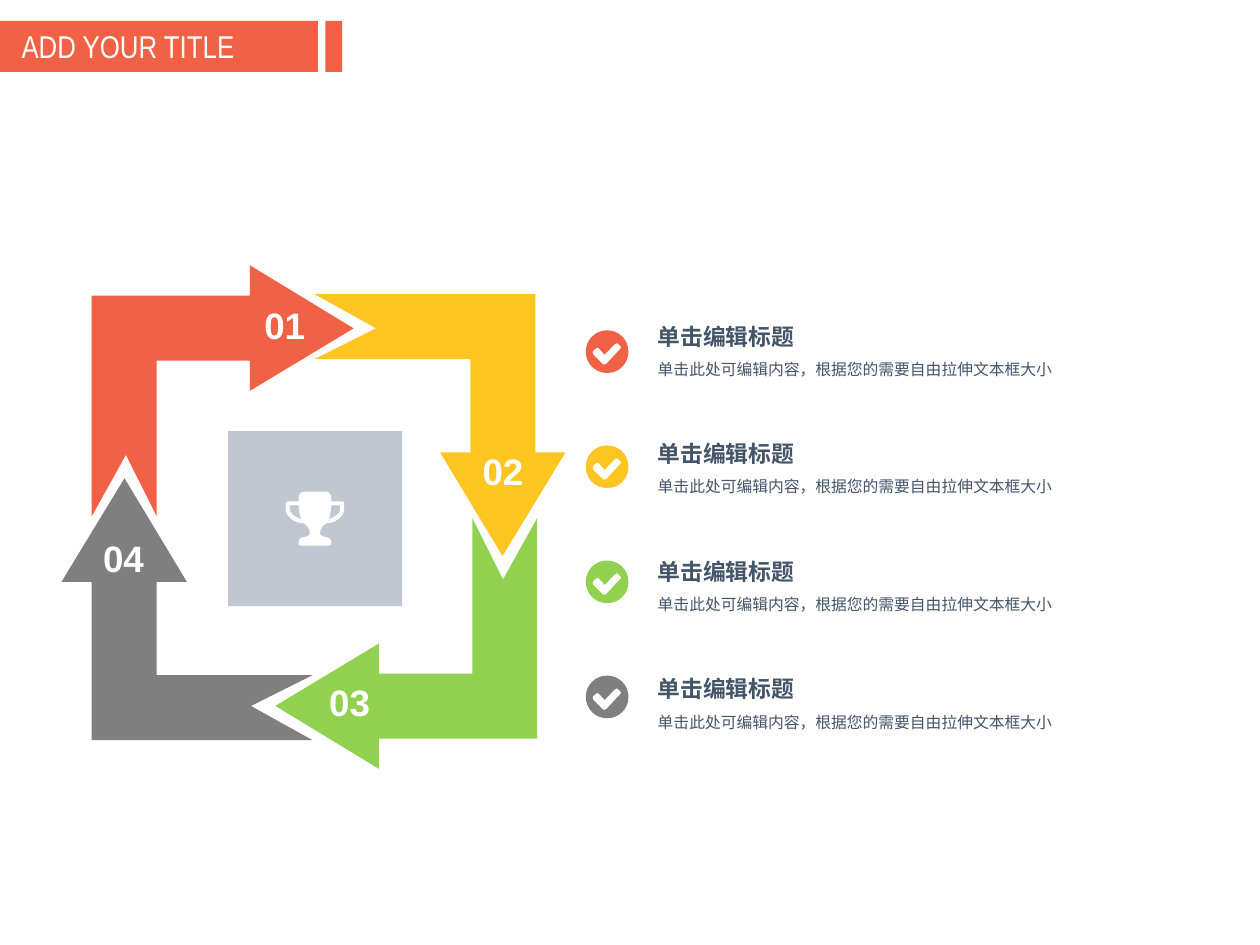
from pptx import Presentation
from pptx.dml.color import RGBColor
from pptx.enum.shapes import MSO_SHAPE
from pptx.enum.text import MSO_ANCHOR, MSO_AUTO_SIZE, PP_ALIGN
from pptx.oxml.ns import qn
from pptx.util import Cm, Pt
from lxml.etree import Element

RED = RGBColor(0xF1, 0x61, 0x46)
YELLOW = RGBColor(0xFF, 0xC5, 0x22)
GREEN = RGBColor(0x92, 0xD0, 0x50)
GREY = RGBColor(0x7F, 0x7F, 0x7F)
PANEL = RGBColor(0xC1, 0xC7, 0xD0)
INK = RGBColor(0x44, 0x54, 0x69)
WHITE = RGBColor(0xFF, 0xFF, 0xFF)

HEADING = "单击编辑标题"
DETAIL = "单击此处可编辑内容，根据您的需要自由拉伸文本框大小"

# Number, colour, arrow position, arrow rotation, number position (cm)
STEPS = [
    ("01", RED, (1.85, 5.35), 0, (5.31, 6.1)),
    ("02", YELLOW, (6.23, 6.04), 90, (9.71, 9.04)),
    ("03", GREEN, (5.55, 10.44), 180, (6.62, 13.71)),
    ("04", GREY, (1.13, 9.75), 270, (2.06, 10.8)),
]

# Outlines in cm. A segment of one point is a line, one of three is a curve.
ARROW = [[(0, 5.06)], [(0, 0.61)], [(3.19, 0.61)], [(3.19, 0)], [(5.28, 1.27)],
         [(3.19, 2.53)], [(3.19, 1.92)], [(1.31, 1.92)], [(1.31, 5.06)], [(0.69, 3.82)]]
DISC = [
    [(0.43, 0.86)], [(0.19, 0.86), (0, 0.67), (0, 0.43)],
    [(0, 0.19), (0.19, 0), (0.43, 0)], [(0.67, 0), (0.86, 0.19), (0.86, 0.43)],
    [(0.86, 0.67), (0.67, 0.86), (0.43, 0.86)],
]
TICK = [
    [(0.7, 0.32)], [(0.66, 0.28)], [(0.64, 0.25), (0.62, 0.25), (0.58, 0.28)],
    [(0.38, 0.49)], [(0.26, 0.36)], [(0.24, 0.34), (0.23, 0.34), (0.21, 0.36)],
    [(0.15, 0.41)], [(0.13, 0.43), (0.13, 0.46), (0.15, 0.49)],
    [(0.35, 0.69)], [(0.37, 0.7), (0.39, 0.7), (0.41, 0.68)],
    [(0.7, 0.37)], [(0.72, 0.35), (0.72, 0.34), (0.7, 0.32)],
]
# Right half of the trophy, measured from its top centre
CUP = [
    [(0.2, 0)], [(0.28, 0), (0.33, 0.05), (0.33, 0.13)],
    [(0.33, 0.2)], [(0.53, 0.2)], [(0.59, 0.2), (0.59, 0.2), (0.59, 0.25)],
    [(0.59, 0.36)], [(0.59, 0.48), (0.43, 0.64), (0.23, 0.64)],
    [(0.18, 0.66), (0.15, 0.71), (0.15, 0.71)],
    [(0.13, 0.74), (0.1, 0.79), (0.1, 0.84)],
    [(0.1, 0.86), (0.13, 0.91), (0.18, 0.91)],
    [(0.25, 0.91), (0.33, 0.94), (0.33, 1.02)],
    [(0.33, 1.07)], [(0.33, 1.09), (0.3, 1.09), (0.3, 1.09)],
]
HANDLE = [
    [(0.51, 0.28)], [(0.33, 0.28)], [(0.33, 0.38), (0.3, 0.48), (0.28, 0.56)],
    [(0.41, 0.51), (0.51, 0.43), (0.51, 0.36)],
]


def mirror(segments):
    return [[(-x, y) for x, y in segment] for segment in segments]


def reverse(segments):
    """Run through the same segments from end to start."""
    backwards = [[segments[-1][-1]]]
    for before, segment in reversed(list(zip(segments, segments[1:]))):
        backwards.append([*segment[-2::-1], before[-1]])
    return backwards


def paint(shape, color):
    shape.fill.solid()
    shape.fill.fore_color.rgb = color
    shape.line.fill.background()
    shape.shadow.inherit = False
    return shape


def bend(shape, contours):
    """Turn the straight sides that stand for curves into cubic curves."""
    ends = [segment[-1] for contour in contours for segment in contour]
    min_x, min_y = (min(values) for values in zip(*ends))
    sides = [segment for contour in contours for segment in contour[1:]]
    for side, segment in zip(list(shape.element.iter(qn("a:lnTo"))), sides):
        if len(segment) == 3:
            side.tag = qn("a:cubicBezTo")
            for position, (x, y) in enumerate(segment[:2]):
                control = Element(qn("a:pt"), x=str(Cm(x - min_x)), y=str(Cm(y - min_y)))
                side.insert(position, control)


def add_outline(slide, contours, left, top, color):
    """Draw closed contours as one shape; inner contours are holes."""
    builder = None
    for contour in contours:
        start, *rest = [(Cm(x), Cm(y)) for *_, (x, y) in contour]
        if builder is None:
            builder = slide.shapes.build_freeform(*start)
        else:
            builder.move_to(*start)
        builder.add_line_segments(rest, close=True)
    shape = builder.convert_to_shape(Cm(left), Cm(top))
    bend(shape, contours)
    return paint(shape, color)


def add_block(slide, left, top, width, height, color):
    block = slide.shapes.add_shape(MSO_SHAPE.RECTANGLE, Cm(left), Cm(top), Cm(width), Cm(height))
    return paint(block, color)


def format_text(frame, text, size, color, font="Arial", bold=False, align=PP_ALIGN.LEFT):
    frame.word_wrap = True
    frame.auto_size = MSO_AUTO_SIZE.NONE
    frame.vertical_anchor = MSO_ANCHOR.TOP
    frame.text = text
    paragraph = frame.paragraphs[0]
    paragraph.alignment = align
    run = paragraph.runs[0]
    run.font.name = font
    run.font.size = Pt(size)
    run.font.bold = bold
    run.font.color.rgb = color


def add_label(slide, text, left, top, width, height, size, color, **style):
    frame = slide.shapes.add_textbox(Cm(left), Cm(top), Cm(width), Cm(height)).text_frame
    frame.margin_left = frame.margin_right = frame.margin_top = frame.margin_bottom = 0
    format_text(frame, text, size, color, **style)
    frame.paragraphs[0].space_before = Pt(size / 4)


def add_title(slide):
    title = slide.shapes.title
    title.left, title.top, title.width, title.height = Cm(0.18), Cm(0.42), Cm(6.05), Cm(1.78)
    format_text(title.text_frame, "ADD YOUR TITLE", 18, WHITE, font="Arial Narrow")
    # The bars lie behind the title
    for left, width in ((0, 6.41), (6.56, 0.34)):
        bar = add_block(slide, left, 0.42, width, 1.03, RED)
        title.element.addprevious(bar.element)


def add_trophy(slide):
    add_block(slide, 4.6, 8.69, 3.51, 3.53, PANEL)
    cup = CUP + mirror(reverse(CUP))
    add_outline(slide, [cup, HANDLE, mirror(HANDLE)], 6.35, 9.91, WHITE)


def main():
    presentation = Presentation()
    presentation.slide_width, presentation.slide_height = Cm(25.4), Cm(19.05)
    slide = presentation.slides.add_slide(presentation.slide_layouts[5])
    add_title(slide)

    # Cycle of arrows around the trophy
    for _, color, position, rotation, _ in STEPS:
        add_outline(slide, [ARROW], *position, color).rotation = rotation
    add_trophy(slide)

    # Step numbers and the list beside the cycle
    for row, (number, color, _, _, position) in enumerate(STEPS):
        add_label(slide, number, *position, 0.86, 0.89, 21, WHITE,
                  bold=True, align=PP_ALIGN.CENTER)
        add_outline(slide, [DISC, TICK], 11.81, 6.66 + 2.32 * row, color)
        text_top = 6.5 + 2.37 * row
        add_label(slide, HEADING, 13.26, text_top, 4.88, 0.56, 13, INK, bold=True)
        add_label(slide, DETAIL, 13.26, text_top + 0.75, 8.66, 0.38, 9, INK)

    presentation.save("out.pptx")


if __name__ == "__main__":
    main()
